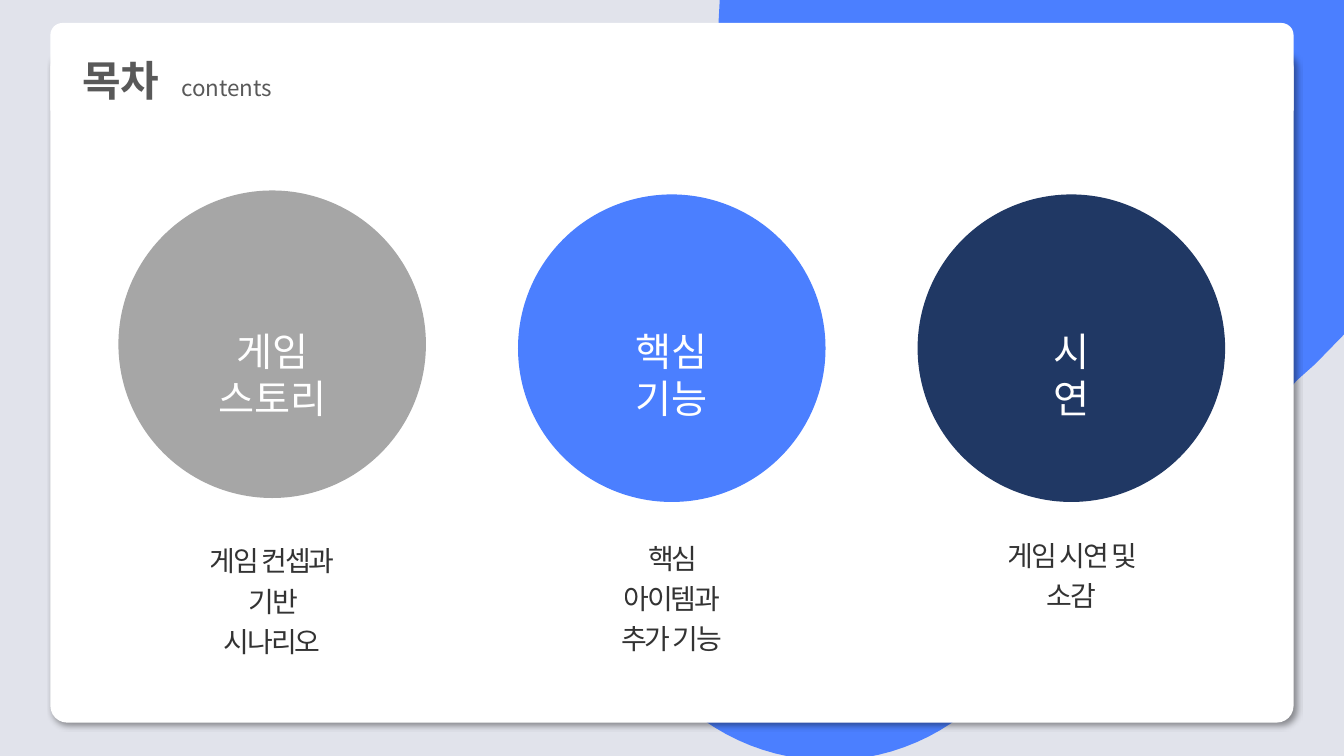
"""Build the contents slide of a game presentation."""
from dataclasses import dataclass

from lxml import etree
from pptx import Presentation
from pptx.dml.color import RGBColor
from pptx.enum import shapes, text
from pptx.oxml import ns
from pptx.util import Cm, Pt

FONT = "Noto Sans CJK KR"
BACKGROUND = RGBColor(0xE1, 0xE3, 0xEB)
BLUE = RGBColor(0x4B, 0x7F, 0xFF)
NAVY = RGBColor(0x20, 0x38, 0x64)
GREY = RGBColor(0xA6, 0xA6, 0xA6)
DARK_GREY = RGBColor(0x59, 0x59, 0x59)
WHITE = RGBColor(0xFF, 0xFF, 0xFF)
BLACK = RGBColor(0, 0, 0)

DIAMETER = 7.75
MIDDLE, PITCH = 16.93, 10.07
HEADING_TOP = 8.13
CAPTION_WIDTH = 3.95
CURVE_STEPS = 24

BLOB_START = (33.87, 0)
BLOB = [
    [(33.87, 8.43)], [(33.15, 9.17)], [(32.69, 9.58)], [(32.56, 9.73)],
    [(32.46, 9.88), (32.33, 10.01), (32.18, 10.16)],
    [(24.79, 17.55)],
    [(22.78, 19.56), (19.61, 19.69), (17.45, 17.93)],
    [(17.02, 17.55)], [(16.64, 17.15)],
    [(14.88, 14.99), (15.01, 11.79), (17.02, 9.78)],
    [(20.85, 5.97)], [(19.99, 5.11)],
    [(18.75, 3.84), (18.11, 2.18), (18.11, 0.56)],
    [(18.14, 0)],
]


@dataclass
class Topic:
    heading: str
    heading_width: float
    caption: str
    caption_top: float
    circle_top: float
    color: RGBColor


TOPICS = [
    Topic("게임 스토리", 4.2, "게임 컨셉과\n기반 시나리오", 13.41, 4.8, GREY),
    Topic("핵심 기능", 4.0, "핵심 아이템과\n추가 기능", 13.34, 4.9, BLUE),
    Topic("시연", 2.15, "게임 시연 및 소감", 13.28, 4.9, NAVY),
]


def add_xml(parent, tag: str, **attrs: str):
    return etree.SubElement(parent, ns.qn(tag), attrs)


def paint(sp, color: RGBColor) -> None:
    sp.shadow.inherit = False
    sp.fill.solid()
    sp.fill.fore_color.rgb = color
    sp.line.fill.background()


def add_panel(s, kind, left: float, top: float, width: float, height: float, color: RGBColor):
    sp = s.shapes.add_shape(kind, Cm(left), Cm(top), Cm(width), Cm(height))
    paint(sp, color)
    return sp


def format_run(r, size: float, color: RGBColor, bold: bool = False) -> None:
    r.font.size = Pt(size)
    r.font.bold = bold
    r.font.color.rgb = color
    r.font.name = FONT
    add_xml(r.font._element, "a:ea", typeface=FONT)


def add_label(s, words: str, center: float, top: float, width: float, size: float,
              color: RGBColor, spacing: float = 1.0) -> list:
    box = s.shapes.add_textbox(Cm(center - width / 2), Cm(top), Cm(width), Cm(1.45))
    tf = box.text_frame
    tf.text = words
    tf.word_wrap = True
    for p in tf.paragraphs:
        p.alignment = text.PP_ALIGN.CENTER
        p.line_spacing = spacing
        format_run(p.runs[0], size, color)
    return [p.runs[0] for p in tf.paragraphs]


def add_blob(s) -> None:
    points, last = [], BLOB_START
    for segment in BLOB:
        if len(segment) == 3:
            curve = [last, *segment]
            for step in range(1, CURVE_STEPS + 1):
                t = step / CURVE_STEPS
                weights = ((1 - t) ** 3, 3 * t * (1 - t) ** 2, 3 * t * t * (1 - t), t ** 3)
                points.append(tuple(sum(w * c[axis] for w, c in zip(weights, curve))
                                    for axis in (0, 1)))
        else:
            points += segment
        last = segment[-1]
    builder = s.shapes.build_freeform(Cm(BLOB_START[0]), Cm(BLOB_START[1]))
    builder.add_line_segments([(Cm(x), Cm(y)) for x, y in points])
    paint(builder.convert_to_shape(), BLUE)


def add_card(s) -> None:
    card = add_panel(s, shapes.MSO_SHAPE.ROUNDED_RECTANGLE, 1.27, 1.27, 31.33, 16.94, WHITE)
    card.adjustments[0] = 0.025
    effects = card._element.spPr.find(ns.qn("a:effectLst"))
    shadow = add_xml(effects, "a:outerShdw", blurRad=str(Pt(4)), dist=str(Pt(3)),
                     dir="2700000", algn="tl", rotWithShape="0")
    add_xml(add_xml(shadow, "a:srgbClr", val="000000"), "a:alpha", val="40000")
    header = add_panel(s, shapes.MSO_SHAPE.ROUND_2_SAME_RECTANGLE, 1.27, 0.58, 31.33, 2.21, WHITE)
    header.adjustments[0] = 0.137
    header._element.addnext(s.shapes.title._element)


def format_title(title) -> None:
    title.left, title.top, title.width, title.height = Cm(1.27), Cm(0.58), Cm(31.33), Cm(2.21)
    tf = title.text_frame
    tf.auto_size = text.MSO_AUTO_SIZE.NONE
    tf.vertical_anchor = text.MSO_ANCHOR.MIDDLE
    tf.margin_left = Cm(0.8)
    p = tf.paragraphs[0]
    p.alignment = text.PP_ALIGN.LEFT
    p.line_spacing = 1.5
    tabs = add_xml(p._element.get_or_add_pPr(), "a:tabLst")
    add_xml(tabs, "a:tab", pos=str(Cm(2.5)), algn="l")
    for words, size, bold in (("목차\t", 30, True), ("contents", 16, False)):
        r = p.add_run()
        r.text = words
        format_run(r, size, DARK_GREY, bold)


def add_topic(s, topic: Topic, center: float) -> None:
    add_panel(s, shapes.MSO_SHAPE.OVAL, center - DIAMETER / 2, topic.circle_top,
              DIAMETER, DIAMETER, topic.color)
    add_label(s, topic.heading, center, HEADING_TOP, topic.heading_width, 28, WHITE)
    for r in add_label(s, topic.caption, center, topic.caption_top, CAPTION_WIDTH, 20, BLACK, 1.2):
        r.font._element.set("spc", "-150")
        rgb = r.font._element.find(".//" + ns.qn("a:srgbClr"))
        add_xml(rgb, "a:alpha", val="80000")


def main() -> None:
    prs = Presentation()
    prs.slide_width, prs.slide_height = Cm(33.87), Cm(19.05)
    s = prs.slides.add_slide(prs.slide_layouts[5])
    s.background.fill.solid()
    s.background.fill.fore_color.rgb = BACKGROUND
    add_blob(s)
    add_card(s)
    format_title(s.shapes.title)
    for i, topic in enumerate(TOPICS):
        add_topic(s, topic, MIDDLE + (i - 1) * PITCH)
    prs.save("out.pptx")


if __name__ == "__main__":
    main()
